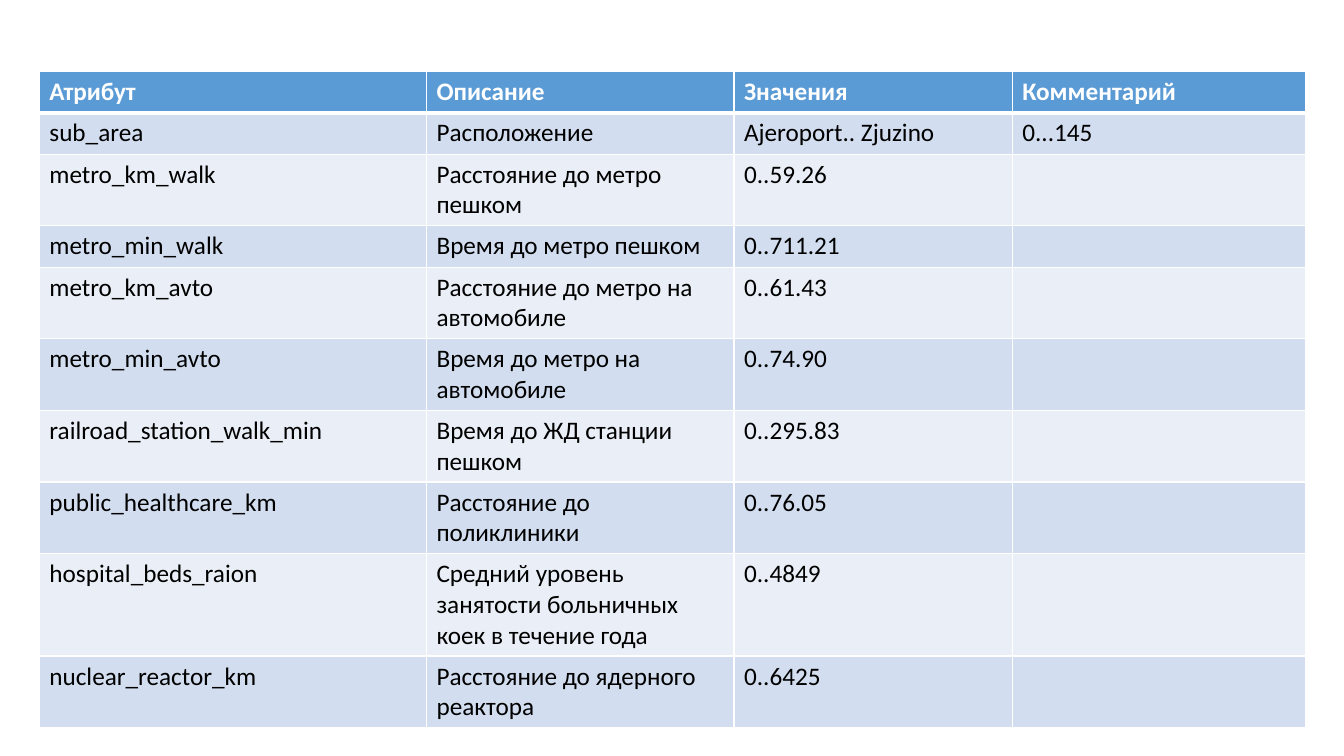
from lxml import etree
from pptx import Presentation
from pptx.dml.color import RGBColor
from pptx.oxml.ns import qn
from pptx.util import Inches, Pt

WHITE = RGBColor(0xFF, 0xFF, 0xFF)
BLACK = RGBColor(0x00, 0x00, 0x00)
HEADER_BLUE = RGBColor(0x5B, 0x9B, 0xD5)
BAND_DARK = RGBColor(0xD2, 0xDE, 0xEF)
BAND_LIGHT = RGBColor(0xEA, 0xEF, 0xF7)

BLANK_LAYOUT = 6
COLUMN_WIDTHS = [3.84, 3.05, 2.76, 2.91]
ROW_HEIGHT = 0.41

ATTRIBUTES = [
    ("Атрибут", "Описание", "Значения", "Комментарий"),
    ("sub_area", "Расположение", "Ajeroport.. Zjuzino", "0...145"),
    ("metro_km_walk", "Расстояние до метро пешком", "0..59.26", ""),
    ("metro_min_walk", "Время до метро пешком", "0..711.21", ""),
    ("metro_km_avto", "Расстояние до метро на автомобиле", "0..61.43", ""),
    ("metro_min_avto", "Время до метро на автомобиле", "0..74.90", ""),
    ("railroad_station_walk_min", "Время до ЖД станции пешком", "0..295.83", ""),
    ("public_healthcare_km", "Расстояние до поликлиники", "0..76.05", ""),
    ("hospital_beds_raion",
     "Средний уровень занятости больничных коек в течение года", "0..4849", ""),
    ("nuclear_reactor_km", "Расстояние до ядерного реактора", "0..6425", ""),
]


def add_border(cell, side, points):
    properties = cell._tc.get_or_add_tcPr()
    line = etree.SubElement(properties, qn(f"a:ln{side}"), w=str(Pt(points)))
    fill = etree.SubElement(line, qn("a:solidFill"))
    etree.SubElement(fill, qn("a:srgbClr"), val=str(WHITE))


deck = Presentation()
deck.slide_width = Inches(13.33)
deck.slide_height = Inches(7.5)
page = deck.slides.add_slide(deck.slide_layouts[BLANK_LAYOUT])

# Attribute table; rows grow to fit wrapped descriptions
table = page.shapes.add_table(
    len(ATTRIBUTES), len(COLUMN_WIDTHS), Inches(0.39), Inches(0.71),
    Inches(sum(COLUMN_WIDTHS)), Inches(ROW_HEIGHT * len(ATTRIBUTES))).table
for column, width in zip(table.columns, COLUMN_WIDTHS):
    column.width = Inches(width)

for row, attribute in enumerate(ATTRIBUTES):
    is_header = row == 0
    band = BAND_DARK if row % 2 else BAND_LIGHT
    for column, text in enumerate(attribute):
        cell = table.cell(row, column)

        # White grid with a heavier rule below the header
        add_border(cell, "L", 1)
        add_border(cell, "R", 1)
        add_border(cell, "T", 3 if row == 1 else 1)
        add_border(cell, "B", 3 if is_header else 1)
        cell.fill.solid()
        cell.fill.fore_color.rgb = HEADER_BLUE if is_header else band

        # Cell text
        cell.text = text
        font = cell.text_frame.paragraphs[0].font
        font.name = "Calibri"
        font.size = Pt(18)
        font.bold = is_header
        font.color.rgb = WHITE if is_header else BLACK

deck.save("out.pptx")
